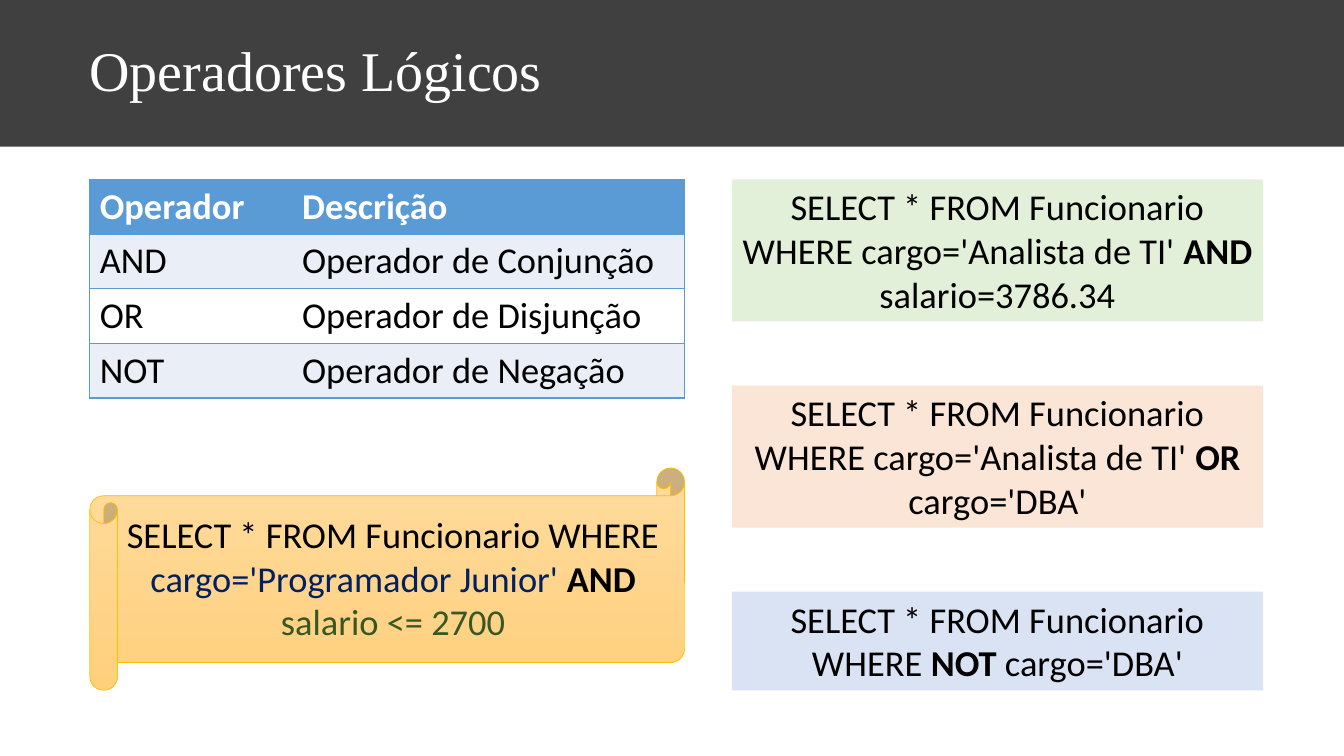
from lxml import etree
from pptx import Presentation
from pptx import util as u
from pptx.dml.color import RGBColor
from pptx.enum import shapes, text
from pptx.oxml import ns

COLORS = {
    "banner": "404040", "white": "FFFFFF", "black": "000000",
    "header": "5B9BD5", "band": "EAEFF7",
    "green": "E2F0D9", "orange": "FBE5D6", "blue": "DAE3F3",
    "scroll_top": "FFDB9E", "scroll_bottom": "FFD07C", "scroll_line": "FFC000",
    "navy": "002060", "forest": "385723",
}
LEFT, TOP = 6.68, 23.73
PANEL_WIDTH = 44.26
QUERY_LEFT, QUERY_WIDTH, QUERY_GAP = 54.46, 39.53, 8.47


def color(name):
    return RGBColor.from_string(COLORS[name])


def add_run(paragraph, content, size=26, font="Calibri", ink="black", bold=False):
    run = paragraph.add_run()
    run.text = content
    run.font.size = u.Pt(size)
    run.font.name = font
    run.font.bold = bold
    run.font.color.rgb = color(ink)


class SlideBuilder:
    def __init__(self, presentation):
        self.width = presentation.slide_width
        self.height = presentation.slide_height
        self.slide = presentation.slides.add_slide(presentation.slide_layouts[6])

    def box(self, left, top, width, height):
        return (round(self.width * left / 100), round(self.height * top / 100),
                round(self.width * width / 100), round(self.height * height / 100))

    def shape(self, kind, *area):
        shape = self.slide.shapes.add_shape(kind, *self.box(*area))
        shape.shadow.inherit = False
        shape.line.fill.background()
        return shape

    def rectangle(self, fill, *area):
        shape = self.shape(shapes.MSO_SHAPE.RECTANGLE, *area)
        shape.fill.solid()
        shape.fill.fore_color.rgb = color(fill)
        return shape

    def title(self, content, height):
        frame = self.rectangle("banner", 0, 0, 100, height).text_frame
        frame.word_wrap = True
        frame.vertical_anchor = text.MSO_ANCHOR.MIDDLE
        paragraph = frame.paragraphs[0]
        paragraph.alignment = text.PP_ALIGN.LEFT
        paragraph.line_spacing = 0.9
        properties = paragraph._p.get_or_add_pPr()
        properties.set("marL", str(u.Inches(0.79)))
        properties.set("indent", "0")
        add_run(paragraph, content, size=40, font="Times New Roman", ink="white")

    def fill_text(self, shape, lines):
        frame = shape.text_frame
        frame.word_wrap = True
        frame.vertical_anchor = text.MSO_ANCHOR.TOP
        for index, line in enumerate(lines):
            paragraph = frame.add_paragraph() if index else frame.paragraphs[0]
            paragraph.alignment = text.PP_ALIGN.CENTER
            for content, style in line:
                add_run(paragraph, content, **style)

    def query(self, fill, lines, *area):
        self.fill_text(self.rectangle(fill, *area), lines)

    def label(self, lines, *area):
        self.fill_text(self.slide.shapes.add_textbox(*self.box(*area)), lines)

    def scroll(self, *area):
        shape = self.shape(shapes.MSO_SHAPE.HORIZONTAL_SCROLL, *area)
        shape.fill.gradient()
        shape.fill.gradient_angle = 270
        for stop, name in zip(shape.fill.gradient_stops, ("scroll_top", "scroll_bottom")):
            stop.color.rgb = color(name)
        shape.line.color.rgb = color("scroll_line")
        shape.line.width = u.Pt(0.5)

    def border(self, cell, sides):
        properties = cell._tc.get_or_add_tcPr()
        for index, side in enumerate("LRTB"):
            line = etree.Element(ns.qn(f"a:ln{side}"), w=str(u.Pt(1)))
            if side in sides:
                fill = etree.SubElement(line, ns.qn("a:solidFill"))
                etree.SubElement(fill, ns.qn("a:srgbClr"), val=COLORS["header"])
            else:
                etree.SubElement(line, ns.qn("a:noFill"))
            properties.insert(index, line)

    def table(self, rows, column_shares, *area):
        frame = self.slide.shapes.add_table(len(rows), len(rows[0]), *self.box(*area))
        table = frame.table
        table_width = frame.width
        for column, share in zip(table.columns, column_shares):
            column.width = round(table_width * share)
        for row_index, row in enumerate(rows):
            header = row_index == 0
            fill = "header" if header else "band" if row_index % 2 else "white"
            for column_index, content in enumerate(row):
                cell = table.cell(row_index, column_index)
                cell.fill.solid()
                cell.fill.fore_color.rgb = color(fill)
                self.border(cell, "RTB" if column_index else "LTB")
                add_run(cell.text_frame.paragraphs[0], content,
                        ink="white" if header else "black", bold=header)


def main():
    presentation = Presentation()
    presentation.slide_width = u.Inches(13.33)
    presentation.slide_height = u.Inches(7.5)
    builder = SlideBuilder(presentation)
    plain, strong = {}, {"bold": True}

    builder.title("Operadores Lógicos", 19.4)
    builder.table(
        [("Operador", "Descrição"),
         ("AND", "Operador de Conjunção"),
         ("OR", "Operador de Disjunção"),
         ("NOT", "Operador de Negação")],
        (0.34, 0.66), LEFT, TOP, PANEL_WIDTH, 28.8)

    select = "SELECT * FROM Funcionario WHERE "
    analyst = select + "cargo='Analista de TI' "
    queries = [
        ("green", 18.8, [[(analyst, plain), ("AND", strong)], [("salario=3786.34", plain)]]),
        ("orange", 18.8, [[(analyst, plain), ("OR", strong)], [("cargo='DBA'", plain)]]),
        ("blue", 13.07, [[(select, plain), ("NOT", strong), (" cargo='DBA'", plain)]]),
    ]
    top = TOP
    for fill, height, lines in queries:
        builder.query(fill, lines, QUERY_LEFT, top, QUERY_WIDTH, height)
        top += height + QUERY_GAP

    builder.scroll(LEFT, 61.9, PANEL_WIDTH, 29.4)
    builder.label(
        [[(select, plain),
          ("cargo='Programador Junior' ", {"ink": "navy"}),
          ("AND ", strong),
          ("salario <= 2700", {"ink": "forest"})]],
        8.63, 67.07, 41.26, 18.8)
    presentation.save("out.pptx")


if __name__ == "__main__":
    main()
